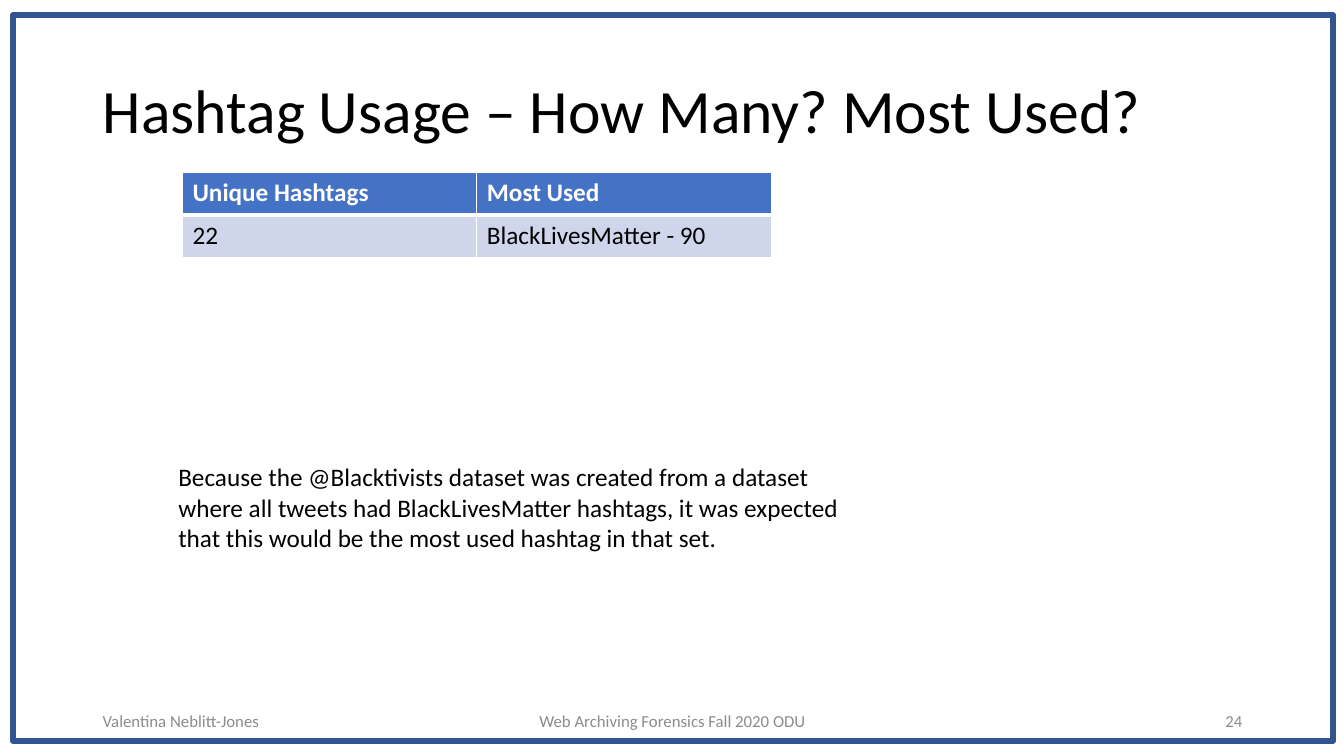
from lxml import etree
from pptx import Presentation
from pptx import util as u
from pptx.dml.color import RGBColor
from pptx.enum import shapes, text
from pptx.oxml import ns

BLACK = RGBColor(0x00, 0x00, 0x00)
WHITE = RGBColor(0xFF, 0xFF, 0xFF)
GRAY = RGBColor(0x8C, 0x8C, 0x8C)
NAVY = RGBColor(0x32, 0x54, 0x91)
BLUE = RGBColor(0x44, 0x72, 0xC4)
PALE = RGBColor(0xCF, 0xD5, 0xEA)
LEFT, MID, RIGHT = text.PP_ALIGN.LEFT, text.PP_ALIGN.CENTER, text.PP_ALIGN.RIGHT
TOP, CENTER = text.MSO_ANCHOR.TOP, text.MSO_ANCHOR.MIDDLE


class Page:
    face = "Calibri"

    def __init__(self, deck):
        self.slide = deck.slides.add_slide(deck.slide_layouts[5])

    def place(self, box):
        return [u.Inches(n) for n in box]

    def letter(self, frame, words, size, color, align=LEFT, bold=False):
        frame.text = words
        para = frame.paragraphs[0]
        para.alignment = align
        font = para.font
        font.name, font.size, font.bold = self.face, u.Pt(size), bold
        font.color.rgb = color
        return para

    def title(self, words, box):
        head = self.slide.shapes.title
        head.left, head.top, head.width, head.height = self.place(box)
        frame = head.text_frame
        frame.auto_size = text.MSO_AUTO_SIZE.NONE
        frame.vertical_anchor = CENTER
        self.letter(frame, words, 44, BLACK).line_spacing = 0.9

    def border(self, box):
        rect = self.slide.shapes.add_shape(
            shapes.MSO_SHAPE.RECTANGLE, *self.place(box))
        rect.shadow.inherit = False
        rect.fill.background()
        rect.line.color.rgb = NAVY
        rect.line.width = u.Pt(4.5)

    def label(self, words, box, size, color, align=LEFT, anchor=TOP):
        frame = self.slide.shapes.add_textbox(*self.place(box)).text_frame
        frame.word_wrap = True
        frame.vertical_anchor = anchor
        self.letter(frame, words, size, color, align)

    def edge(self, cell, side, width):
        props = cell._tc.get_or_add_tcPr()
        line = etree.SubElement(props, ns.qn("a:" + side), w=str(u.Pt(width)))
        fill = etree.SubElement(line, ns.qn("a:solidFill"))
        etree.SubElement(fill, ns.qn("a:srgbClr"), val=str(WHITE))

    def table(self, rows, box):
        grid = self.slide.shapes.add_table(
            len(rows), len(rows[0]), *self.place(box)).table
        for r, row in enumerate(rows):
            head = r == 0
            for c, words in enumerate(row):
                cell = grid.cell(r, c)
                self.letter(cell.text_frame, words, 18,
                            WHITE if head else BLACK, bold=head)
                for side in ("lnL", "lnR", "lnT", "lnB"):
                    seam = side == ("lnB" if head else "lnT")
                    self.edge(cell, side, 3 if seam else 1)
                cell.fill.solid()
                cell.fill.fore_color.rgb = BLUE if head else PALE


def main():
    deck = Presentation()
    deck.slide_width, deck.slide_height = u.Inches(13.33), u.Inches(7.5)
    page = Page(deck)
    page.border((0.13, 0.15, 13.09, 7.2))
    page.title("Hashtag Usage – How Many? Most Used?", (0.92, 0.4, 11.5, 1.45))
    for words, left, width, align in (
        ("Valentina Neblitt-Jones", 0.92, 3, LEFT),
        ("Web Archiving Forensics Fall 2020 ODU", 4.42, 4.5, MID),
        ("24", 9.42, 3, RIGHT),
    ):
        page.label(words, (left, 6.95, width, 0.4), 12, GRAY, align, CENTER)
    page.table(
        [["Unique Hashtags", "Most Used"], ["22", "BlackLivesMatter - 90"]],
        (1.81, 1.71, 5.84, 0.85))
    page.label(
        "Because the @Blacktivists dataset was created from a dataset where "
        "all tweets had BlackLivesMatter hashtags, it was expected that this "
        "would be the most used hashtag in that set.",
        (1.67, 4.53, 7.11, 1.01), 18, BLACK)
    deck.save("out.pptx")


if __name__ == "__main__":
    main()
